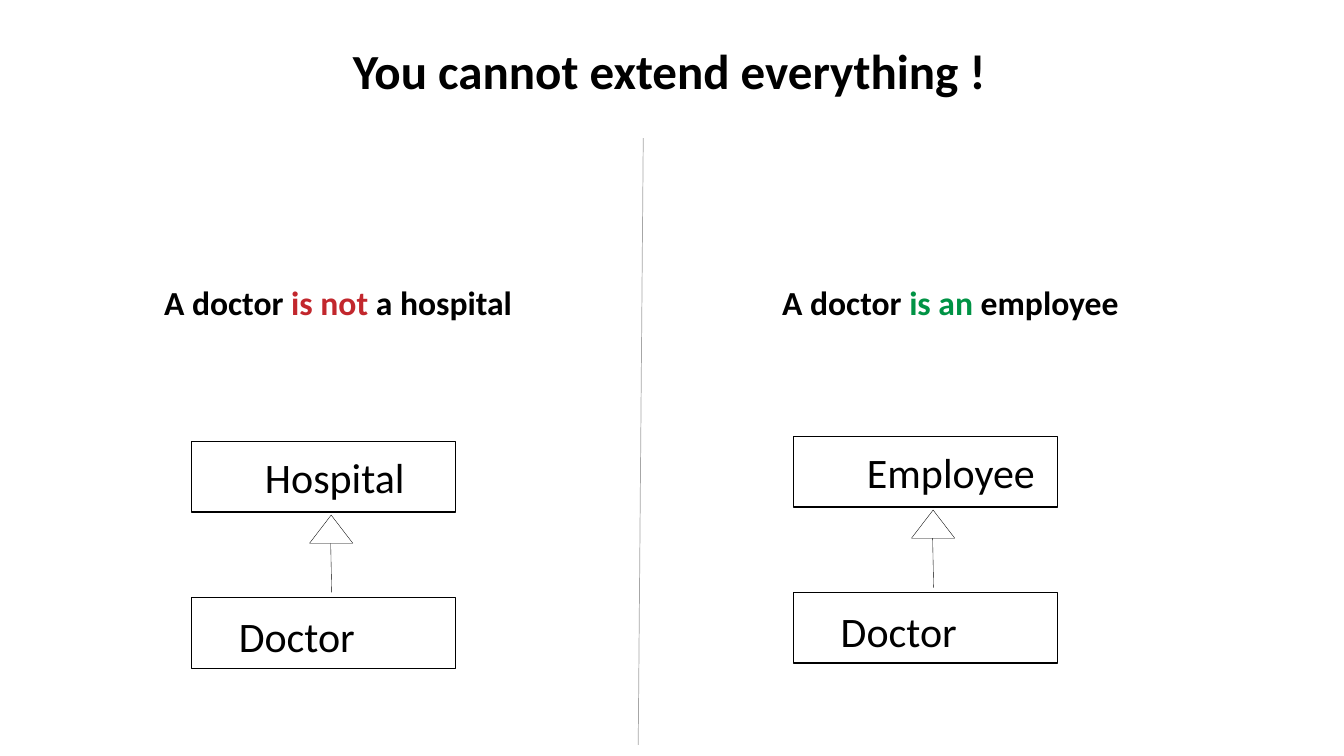
from dataclasses import dataclass

from lxml import etree
from pptx import Presentation
from pptx.dml.color import RGBColor
from pptx.enum.shapes import MSO_CONNECTOR, MSO_SHAPE
from pptx.enum.text import MSO_ANCHOR, MSO_AUTO_SIZE, PP_ALIGN
from pptx.oxml.ns import qn
from pptx.util import Inches, Pt

RECT, TRIANGLE = MSO_SHAPE.RECTANGLE, MSO_SHAPE.ISOSCELES_TRIANGLE
STRAIGHT = MSO_CONNECTOR.STRAIGHT
LEFT, TOP = PP_ALIGN.LEFT, MSO_ANCHOR.TOP
FIT_SHAPE = MSO_AUTO_SIZE.SHAPE_TO_FIT_TEXT

FONT = "Calibri"
COLORS = {
    "black": "000000",
    "white": "FFFFFF",
    "gray": "A6A6A6",
    "red": "C2272D",
    "green": "009345",
}


@dataclass
class Run:
    text: str
    color: str = "black"


@dataclass
class Hierarchy:
    """A sentence and the class diagram below it; x and y place the parent box."""
    x: float
    y: float
    parent: str
    parent_width: float
    sentence: list[Run]
    sentence_x: float
    sentence_width: float


HIERARCHIES = [
    Hierarchy(1.9, 4.38, "Hospital", 1.6,
              [Run("A doctor "), Run("is not ", "red"), Run("a hospital")], 1.53, 3.68),
    Hierarchy(7.87, 4.33, "Employee", 1.88,
              [Run("A doctor "), Run("is an ", "green"), Run("employee")], 7.66, 3.57),
]


def rgb(name: str) -> RGBColor:
    return RGBColor.from_string(COLORS[name])


def place(s, x: float, y: float, w: float, h: float) -> None:
    s.left, s.top, s.width, s.height = (Inches(v) for v in (x, y, w, h))


def write(s, runs: list[Run], size: float, bold: bool = False) -> None:
    tf = s.text_frame
    tf.word_wrap = False
    tf.auto_size = FIT_SHAPE
    tf.vertical_anchor = TOP
    p = tf.paragraphs[0]
    p.alignment = LEFT
    p.line_spacing = 1.0
    p.space_before = Pt(0)
    p.font.name, p.font.size, p.font.bold = FONT, Pt(size), bold
    for run in runs:
        r = p.add_run()
        r.text = run.text
        r.font.color.rgb = rgb(run.color)


def add_text(slide, x: float, y: float, w: float, h: float,
             runs: list[Run], size: float, bold: bool = False) -> None:
    s = slide.shapes.add_textbox(*(Inches(v) for v in (x, y, w, h)))
    write(s, runs, size, bold)


def add_outlined(slide, kind, x: float, y: float, w: float, h: float, weight: float) -> None:
    s = slide.shapes.add_shape(kind, *(Inches(v) for v in (x, y, w, h)))
    s.shadow.inherit = False
    s.fill.solid()
    s.fill.fore_color.rgb = rgb("white")
    s.line.color.rgb = rgb("black")
    s.line.width = Pt(weight)


def add_line(slide, x1: float, y1: float, x2: float, y2: float,
             color: str, weight: float) -> None:
    s = slide.shapes.add_connector(STRAIGHT, *(Inches(v) for v in (x1, y1, x2, y2)))
    s.line.color.rgb = rgb(color)
    s.line.width = Pt(weight)
    etree.SubElement(s._element.spPr, qn("a:effectLst"))


def add_hierarchy(slide, item: Hierarchy) -> None:
    x, y = item.x, item.y
    add_outlined(slide, RECT, x, y, 2.62, 0.7, 1)
    add_outlined(slide, TRIANGLE, x + 1.17, y + 0.73, 0.43, 0.28, 0.25)
    add_line(slide, x + 1.38, y + 1.01, x + 1.39, y + 1.5, "black", 0.25)
    add_text(slide, x + 0.63, y + 0.05, item.parent_width, 0.61, [Run(item.parent)], 30)
    add_outlined(slide, RECT, x, y + 1.55, 2.62, 0.7, 1)
    add_text(slide, x + 0.37, y + 1.63, 1.37, 0.61, [Run("Doctor")], 30)
    add_text(slide, item.sentence_x, 2.75, item.sentence_width, 0.5, item.sentence, 24, True)


def main() -> None:
    prs = Presentation()
    prs.slide_width, prs.slide_height = Inches(13.33), Inches(7.5)
    slide = prs.slides.add_slide(prs.slide_layouts.get_by_name("Title Only"))
    title = slide.shapes.title
    place(title, 3.4, 0.35, 6.54, 0.69)
    write(title, [Run("You cannot extend everything !")], 35, True)
    add_line(slide, 6.38, 1.37, 6.33, 7.39, "gray", 0.5)
    for item in HIERARCHIES:
        add_hierarchy(slide, item)
    prs.save("out.pptx")


if __name__ == "__main__":
    main()
